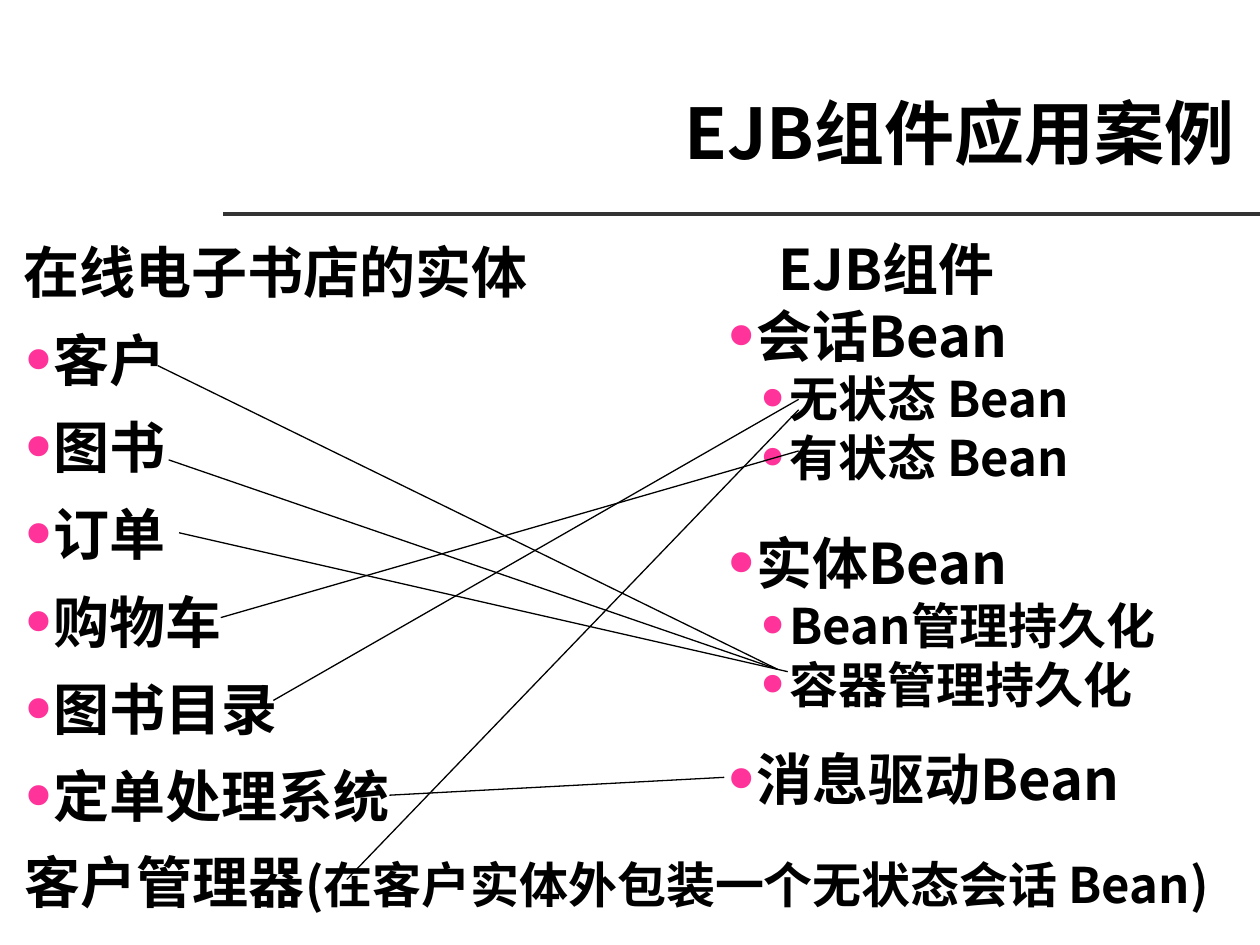
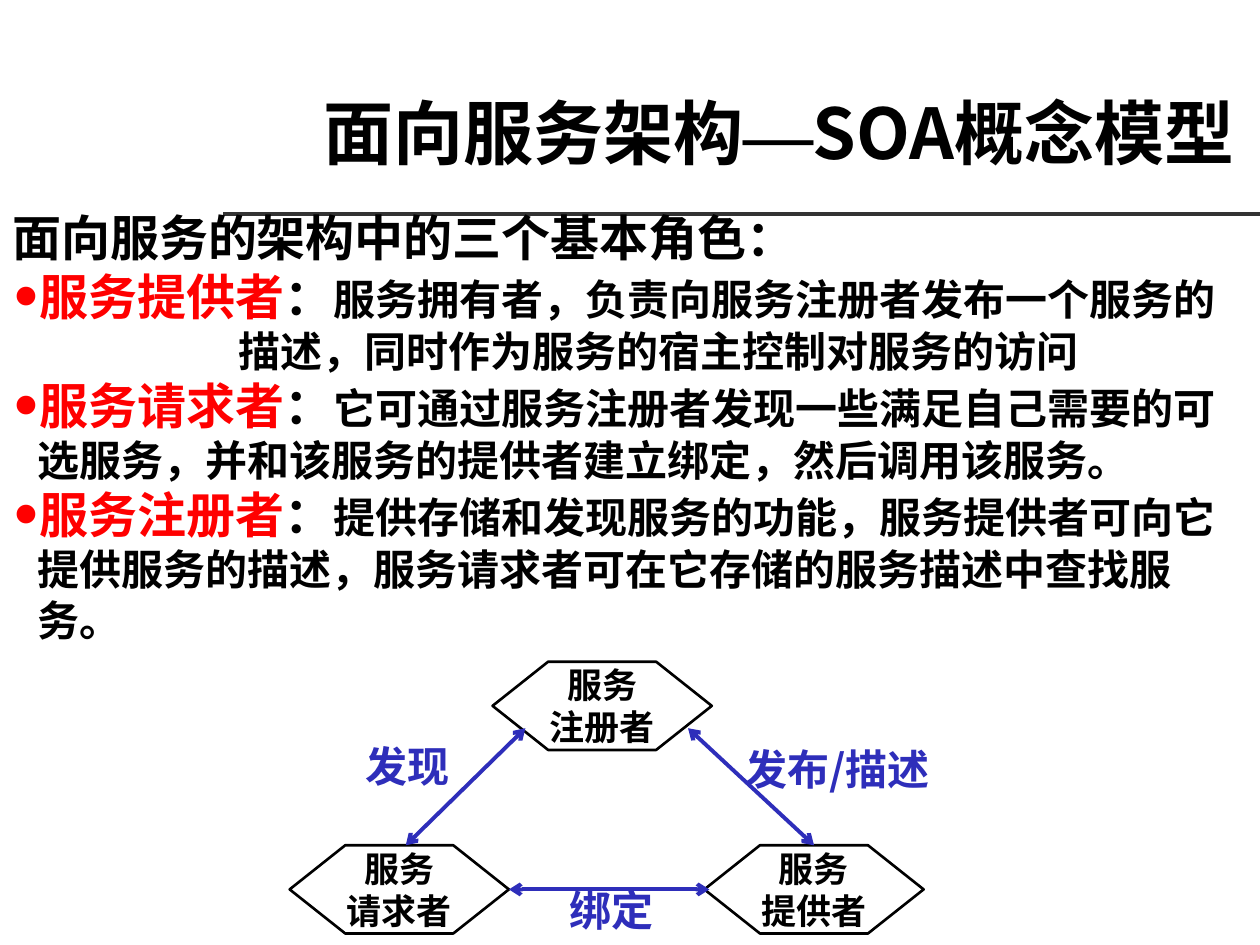
from dataclasses import dataclass

from lxml import etree
from pptx import Presentation
from pptx import util as u
from pptx.dml.color import RGBColor
from pptx.enum import shapes, text
from pptx.oxml.ns import qn


@dataclass(frozen=True)
class Theme:
    sans: str = "Noto Sans CJK SC"
    serif: str = "Times New Roman"
    ink: str = "000000"
    rule: str = "333333"
    pink: str = "FF3399"
    red: str = "FF0000"
    blue: str = "2E2EBA"
    title: int = 40
    head: int = 32
    sub: int = 28
    body: int = 24
    node: int = 20


T = Theme()
LEFT, MID, RIGHT = text.PP_ALIGN.LEFT, text.PP_ALIGN.CENTER, text.PP_ALIGN.RIGHT


def write(shape, paras, align=LEFT, wrap=True, grow=True):
    """Fill a shape; each paragraph is (runs, format), each run (words, size, colour, face)."""
    frame = shape.text_frame
    frame.word_wrap = wrap
    if grow:
        frame.auto_size = text.MSO_AUTO_SIZE.SHAPE_TO_FIT_TEXT
    else:
        frame.auto_size = text.MSO_AUTO_SIZE.NONE
        frame.vertical_anchor = text.MSO_ANCHOR.MIDDLE
    for i, (runs, form) in enumerate(paras):
        para = frame.paragraphs[0] if i == 0 else frame.add_paragraph()
        para.alignment = align
        props = para._p.get_or_add_pPr()
        props.set("marL", str(u.Cm(form.get("left", 0))))
        props.set("indent", str(u.Cm(form.get("hang", 0))))
        props.set("hangingPunct", "0")
        if "dot" in form:
            color, size = form["dot"]
            tint = etree.SubElement(props, qn("a:buClr"))
            etree.SubElement(tint, qn("a:srgbClr"), val=color)
            etree.SubElement(props, qn("a:buSzPct"), val=str(size * 1000))
            etree.SubElement(props, qn("a:buFont"), typeface=T.serif)
            etree.SubElement(props, qn("a:buChar"), char="•")
        if "lead" in form:
            para.line_spacing = form["lead"]
        if "gap" in form:
            para.space_before = u.Pt(form["gap"])
        for words, size, color, face in runs:
            run = para.add_run()
            run.text = words
            run.font.size = u.Pt(size)
            run.font.bold = True
            run.font.color.rgb = RGBColor.from_string(color)
            run.font.name = face
            etree.SubElement(run._r.get_or_add_rPr(), qn("a:ea"), typeface=face)


def wire(slide, ends, color, width, heads=False):
    line = slide.shapes.add_connector(
        shapes.MSO_CONNECTOR.STRAIGHT, *[u.Cm(v) for v in ends])
    line.line.color.rgb = RGBColor.from_string(color)
    line.line.width = u.Pt(width)
    if heads:
        for tag in ("a:headEnd", "a:tailEnd"):
            etree.SubElement(line.line._get_or_add_ln(), qn(tag), type="arrow")
    etree.SubElement(line._element.spPr, qn("a:effectLst"))


deck = Presentation()
deck.slide_width, deck.slide_height = u.Cm(25.4), u.Cm(19.05)

# Shared frame: rule and right-aligned title
titles = [
    [("EJB组件应用案例", T.sans)],
    [("面向服务架构", T.sans), ("—", T.serif), ("SOA概念模型", T.sans)],
]
pages = []
for title in titles:
    page = deck.slides.add_slide(deck.slide_layouts[6])
    wire(page, (4.5, 4.32, 25.4, 4.32), T.rule, 2.25)
    box = page.shapes.add_textbox(u.Cm(4.45), u.Cm(0.97), u.Cm(20.68), u.Cm(3.35))
    runs = [(words, T.title, T.ink, face) for words, face in title]
    write(box, [(runs, {})], RIGHT, grow=False)
    pages.append(page)
ejb, soa = pages

# Slide 1: bookshop entities matched to EJB components
dot = (T.pink, 150)
things = ["客户", "图书", "订单", "购物车", "图书目录", "定单处理系统"]
left = [([("在线电子书店的实体", T.head, T.ink, T.sans)], {})]
left += [([(name, T.head, T.ink, T.sans)], {"dot": dot, "lead": 1.3}) for name in things]

right = [([("EJB组件", T.head, T.ink, T.sans)], {"left": 1.04})]
groups = [
    ("会话Bean", 0, ["无状态 Bean", "有状态 Bean"]),
    ("实体Bean", 24, ["Bean管理持久化", "容器管理持久化"]),
    ("消息驱动Bean", 18, []),
]
for name, gap, kinds in groups:
    right.append(([(name, T.head, T.ink, T.sans)], {"dot": dot, "gap": gap}))
    for kind in kinds:
        right.append(([(kind, T.sub, T.ink, T.sans)],
                      {"dot": dot, "left": 1.27, "hang": -0.6}))

foot = [([("客户管理器", T.head, T.ink, T.sans),
          ("(在客户实体外包装一个无状态会话 Bean)", T.sub, T.ink, T.sans)], {})]
for area, paras, wrap in [
    ((0.23, 4.67, 13.34, 12.19), left, True),
    ((14.4, 4.6, 10.16, 13.08), right, True),
    ((0.25, 16.97, 25.76, 1.63), foot, False),
]:
    box = ejb.shapes.add_textbox(*[u.Cm(v) for v in area])
    write(box, paras, wrap=wrap)

for ends in [
    (3.18, 7.37, 15.67, 13.49),
    (3.4, 9.27, 15.67, 13.49),
    (3.61, 10.74, 15.88, 13.54),
    (5.51, 14.12, 16.1, 8.05),
    (4.45, 12.45, 16.1, 9.09),
    (6.99, 17.73, 16.1, 8.26),
    (7.85, 16.03, 14.6, 15.67),
]:
    wire(ejb, ends, T.ink, 0.75)

# Slide 2: three roles and how they relate
for name, x, y in [("注册者", 9.93, 13.34), ("请求者", 5.84, 17.04), ("提供者", 14.2, 17.04)]:
    node = soa.shapes.add_shape(
        shapes.MSO_SHAPE.HEXAGON, u.Cm(x), u.Cm(y), u.Cm(4.42), u.Cm(1.78))
    node.adjustments[0] = 0.63
    node.shadow.inherit = False
    node.fill.background()
    node.line.color.rgb = RGBColor.from_string(T.ink)
    node.line.width = u.Pt(1.5)
    paras = [([(words, T.node, T.ink, T.sans)], {}) for words in ("服务", name)]
    write(node, paras, MID, wrap=False, grow=False)

for ends in [
    (10.26, 17.93, 14.3, 17.93),
    (13.87, 14.68, 16.41, 17.04),
    (8.18, 17.04, 10.59, 14.68),
]:
    wire(soa, ends, T.blue, 2.25, heads=True)

for words, x, y, width in [
    ("发现", 7.11, 14.81, 2.5),
    ("发布/描述", 14.78, 14.86, 4.9),
    ("绑定", 11.23, 17.7, 2.5),
]:
    box = soa.shapes.add_textbox(u.Cm(x), u.Cm(y), u.Cm(width), u.Cm(1.27))
    write(box, [([(words, T.body, T.blue, T.sans)], {})])

hang = {"left": 0.51, "hang": -0.51}
roles = [
    ("服务提供者", "服务拥有者，负责向服务注册者发布一个服务的",
     "描述，同时作为服务的宿主控制对服务的访问"),
    ("服务请求者", "它可通过服务注册者发现一些满足自己需要的可选服务，"
     "并和该服务的提供者建立绑定，然后调用该服务。", None),
    ("服务注册者", "提供存储和发现服务的功能，服务提供者可向它提供服务的描述，"
     "服务请求者可在它存储的服务描述中查找服务。", None),
]
paras = [([("面向服务的架构中的三个基本角色：", T.sub, T.ink, T.sans)], hang)]
for name, duty, more in roles:
    runs = [(name, T.sub, T.red, T.sans), ("：", T.sub, T.ink, T.sans),
            (duty, T.body, T.ink, T.sans)]
    paras.append((runs, {**hang, "dot": (T.red, 160)}))
    if more:
        paras.append(([(more, T.body, T.ink, T.sans)], {"left": 4.55}))
box = soa.shapes.add_textbox(u.Cm(0), u.Cm(4.06), u.Cm(25.4), u.Cm(9.07))
write(box, paras)

deck.save("out.pptx")
